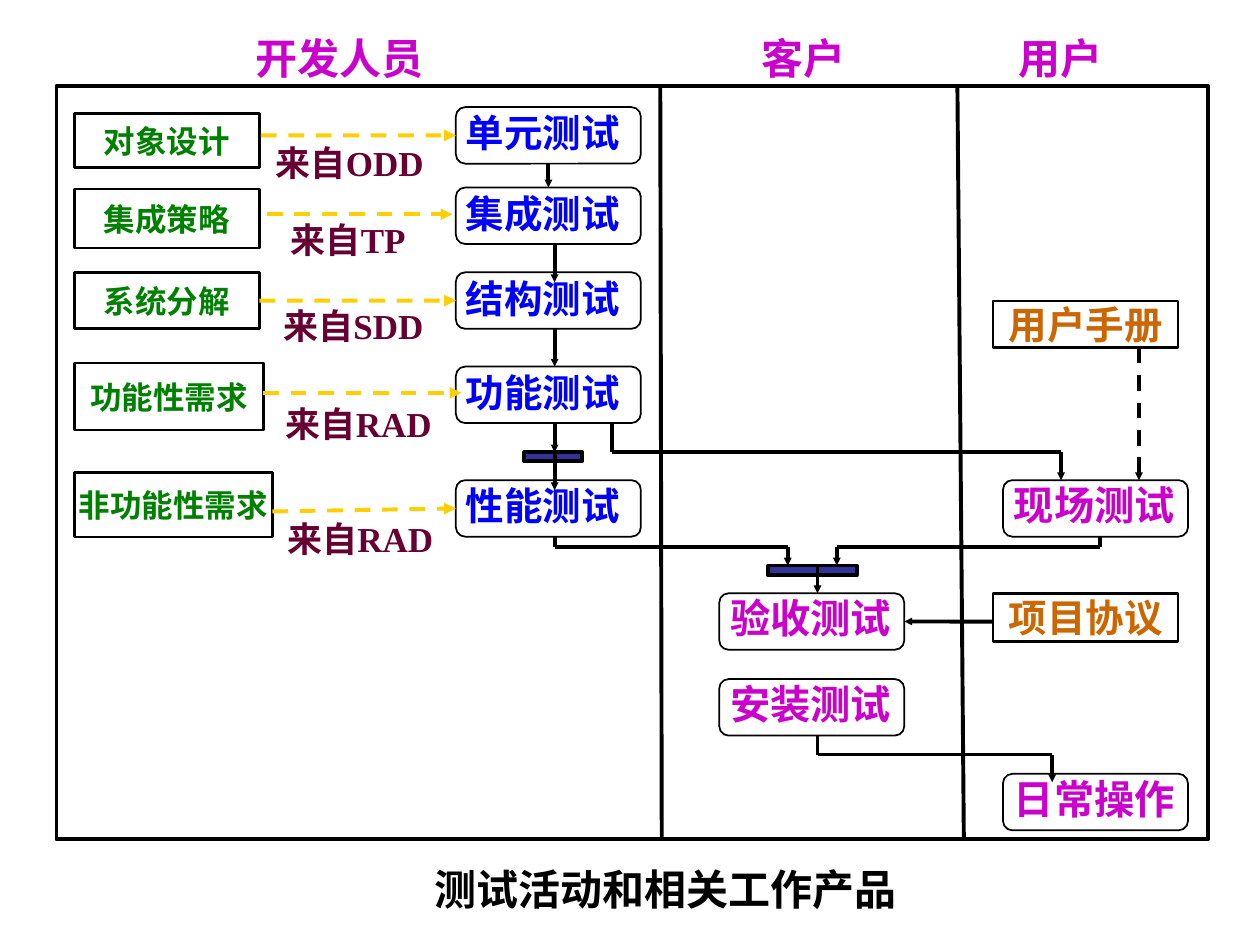
"""Build a swimlane slide of testing activities and their related work products."""
from itertools import pairwise

from lxml import etree
from pptx import Presentation
from pptx import util as u
from pptx.dml.color import RGBColor
from pptx.enum import dml, shapes, text
from pptx.oxml.ns import qn

SANS, SERIF = "Noto Sans CJK SC", "Times New Roman"
BLACK, YELLOW, NAVY = "000000", "FFCF01", "333399"
GREEN, BLUE, MAROON, MAGENTA, ORANGE = "008000", "0000FF", "660033", "CC00CC", "CC6600"
NODE_WIDTH, NODE_HEIGHT = 3.73, 1.14
SOURCE_LEFT, TEST_LEFT = 1.5, 9.19

CAPTION = ("测试活动和相关工作产品", (8.51, 17.17, 9.88, 1.37))
FRAME = (1.14, 1.73, 23.22, 15.19)
DIVIDERS = [(13.31, 13.34), (19.3, 19.43)]
HEADERS = [("开发人员", 4.9, 4.0, False), ("客户", 15.11, 2.35, False), ("用户", 20.29, 2.95, True)]
SOURCES = [
    ("对象设计", 2.29, 3.73, 1.09),
    ("集成策略", 3.81, 3.73, 1.19),
    ("系统分解", 5.5, 3.73, 1.12),
    ("功能性需求", 7.32, 3.81, 1.35),
    ("非功能性需求", 9.53, 3.99, 1.3),
]
DEVELOPER_TESTS = [("单元测试", 2.16), ("集成测试", 3.78), ("结构测试", 5.49), ("功能测试", 7.39), ("性能测试", 9.68)]
CLIENT_TESTS = [
    ("验收测试", 14.5, 11.96),
    ("安装测试", 14.5, 13.69),
    ("现场测试", 20.22, 9.68),
    ("日常操作", 20.22, 15.6),
]
DOCUMENTS = [("用户手册", 6.07, 0.94), ("项目协议", 11.96, 0.97)]
ORIGINS = [
    ("来自ODD", 5.31, 2.72, 3.8),
    ("来自TP", 5.61, 4.29, 3.15),
    ("来自SDD", 5.46, 6.02, 3.65),
    ("来自RAD", 5.51, 7.98, 3.8),
    ("来自RAD", 5.54, 10.31, 3.8),
]
SYNC_BARS = [(10.57, 9.12, 1.17, 0.18), (15.49, 11.4, 1.78, 0.2)]
INPUT_ARROWS = [
    [(5.26, 2.73), (9.19, 2.73)],
    [(5.38, 4.32), (9.12, 4.32)],
    [(5.23, 6.06), (9.19, 6.06)],
    [(5.31, 7.92), (9.3, 7.92)],
    [(5.49, 10.31), (9.14, 10.26)],
]
FLOWS = [
    [(11.1, 3.35), (11.1, 3.76)],
    [(11.18, 4.92), (11.18, 5.69)],
    [(11.18, 6.63), (11.18, 7.39)],
    [(11.18, 8.53), (11.18, 9.12)],
    [(11.18, 9.12), (11.18, 9.88)],
    [(12.34, 8.53), (12.34, 9.12), (21.39, 9.12), (21.39, 9.68)],
    [(11.18, 10.82), (11.18, 11.02), (15.88, 11.02), (15.88, 11.4)],
    [(22.17, 10.82), (22.17, 11.02), (16.87, 11.02), (16.87, 11.4)],
    [(16.48, 11.4), (16.48, 11.96)],
    [(20.02, 12.53), (18.23, 12.53)],
    [(16.48, 14.83), (16.48, 15.21), (21.21, 15.21), (21.21, 15.77)],
]
MANUAL_FLOW = [(22.96, 7.01), (22.96, 9.68)]

deck = Presentation()
deck.slide_width, deck.slide_height = u.Cm(25.4), u.Cm(19.05)
page = deck.slides.add_slide(deck.slide_layouts[5])
nodes = []


def color(value):
    return RGBColor.from_string(value)


def write(shape, words, size, font, ink, align=text.PP_ALIGN.LEFT, anchor=text.MSO_ANCHOR.TOP, wrap=False):
    frame = shape.text_frame
    frame.word_wrap, frame.vertical_anchor = wrap, anchor
    para = frame.paragraphs[0]
    para.alignment = align
    span = para.add_run()
    span.text = words
    span.font.size, span.font.bold, span.font.name = u.Pt(size), True, font
    span.font.color.rgb = color(ink)
    etree.SubElement(span.font._element, qn("a:ea"), typeface=SANS)
    return para


def add_label(words, area, size, font, ink, wrap=False):
    box = page.shapes.add_textbox(*map(u.Cm, area))
    write(box, words, size, font, ink, wrap=wrap)
    box.text_frame.auto_size = text.MSO_AUTO_SIZE.SHAPE_TO_FIT_TEXT


def add_box(area, weight, kind=shapes.MSO_SHAPE.RECTANGLE, fill=None):
    box = page.shapes.add_shape(kind, *map(u.Cm, area))
    box.shadow.inherit = False
    if fill:
        box.fill.solid()
        box.fill.fore_color.rgb = color(fill)
    else:
        box.fill.background()
    box.line.color.rgb, box.line.width = color(BLACK), u.Pt(weight)
    return box


def add_node(words, area, size, ink):
    box = add_box(area, 1.5)
    write(box, words, size, SANS, ink, text.PP_ALIGN.CENTER, text.MSO_ANCHOR.MIDDLE)
    nodes.append((box, area))


def add_test(words, left, top, size, ink, shift, label_size):
    area = (left, top, NODE_WIDTH, NODE_HEIGHT)
    nodes.append((add_box(area, 1, shapes.MSO_SHAPE.ROUNDED_RECTANGLE), area))
    add_label(words, (left - shift[0], top - shift[1], *label_size), size, SERIF, ink)


def join(point, connect):
    for box, (left, top, width, height) in nodes:
        middles = [
            (left + width / 2, top),
            (left, top + height / 2),
            (left + width / 2, top + height),
            (left + width, top + height / 2),
        ]
        for side, middle in enumerate(middles):
            if max(abs(a - b) for a, b in zip(point, middle)) < 0.06:
                connect(box, side)
                return


def add_path(points, ink=BLACK, dashed=False, head="sm"):
    for start, end in pairwise(points):
        line = page.shapes.add_connector(shapes.MSO_CONNECTOR.STRAIGHT, *map(u.Cm, start + end))
        line.line.color.rgb, line.line.width = color(ink), u.Pt(2.25)
        if dashed:
            line.line.dash_style = dml.MSO_LINE.DASH
        if head and end == points[-1]:
            etree.SubElement(line.line._get_or_add_ln(), qn("a:tailEnd"), type="triangle", w=head, len=head)
        etree.SubElement(line._element.spPr, qn("a:effectLst"))
        join(start, line.begin_connect)
        join(end, line.end_connect)


def main():
    caption, area = CAPTION
    title = page.shapes.title
    title.left, title.top, title.width, title.height = map(u.Cm, area)
    write(title, caption, 24, SANS, BLACK, wrap=True).line_spacing = 1.1
    title.text_frame.auto_size = text.MSO_AUTO_SIZE.SHAPE_TO_FIT_TEXT

    add_box(FRAME, 2.25)
    for upper, lower in DIVIDERS:
        add_path([(upper, FRAME[1]), (lower, FRAME[1] + FRAME[3])], head=None)
    for words, left, width, wrap in HEADERS:
        add_label(words, (left, 0.53, width, 1.27), 24, SANS, MAGENTA, wrap)
    for words, top, width, height in SOURCES:
        add_node(words, (SOURCE_LEFT, top, width, height), 18, GREEN)
    for words, top, height in DOCUMENTS:
        add_node(words, (20.02, top, NODE_WIDTH, height), 22, ORANGE)
    for words, top in DEVELOPER_TESTS:
        add_test(words, TEST_LEFT, top, 22, BLUE, (0.05, 0.08), (3.75, 1.19))
    for words, left, top in CLIENT_TESTS:
        add_test(words, left, top, 23, MAGENTA, (0.03, 0.12), (3.9, 1.24))
    for words, left, top, width in ORIGINS:
        add_label(words, (left, top, width, 1.12), 20, SERIF, MAROON)
    for bar in SYNC_BARS:
        add_box(bar, 2.25, fill=NAVY)
    for points in INPUT_ARROWS:
        add_path(points, YELLOW, dashed=True, head="med")
    for points in FLOWS:
        add_path(points)
    add_path(MANUAL_FLOW, dashed=True)
    deck.save("out.pptx")


if __name__ == "__main__":
    main()
